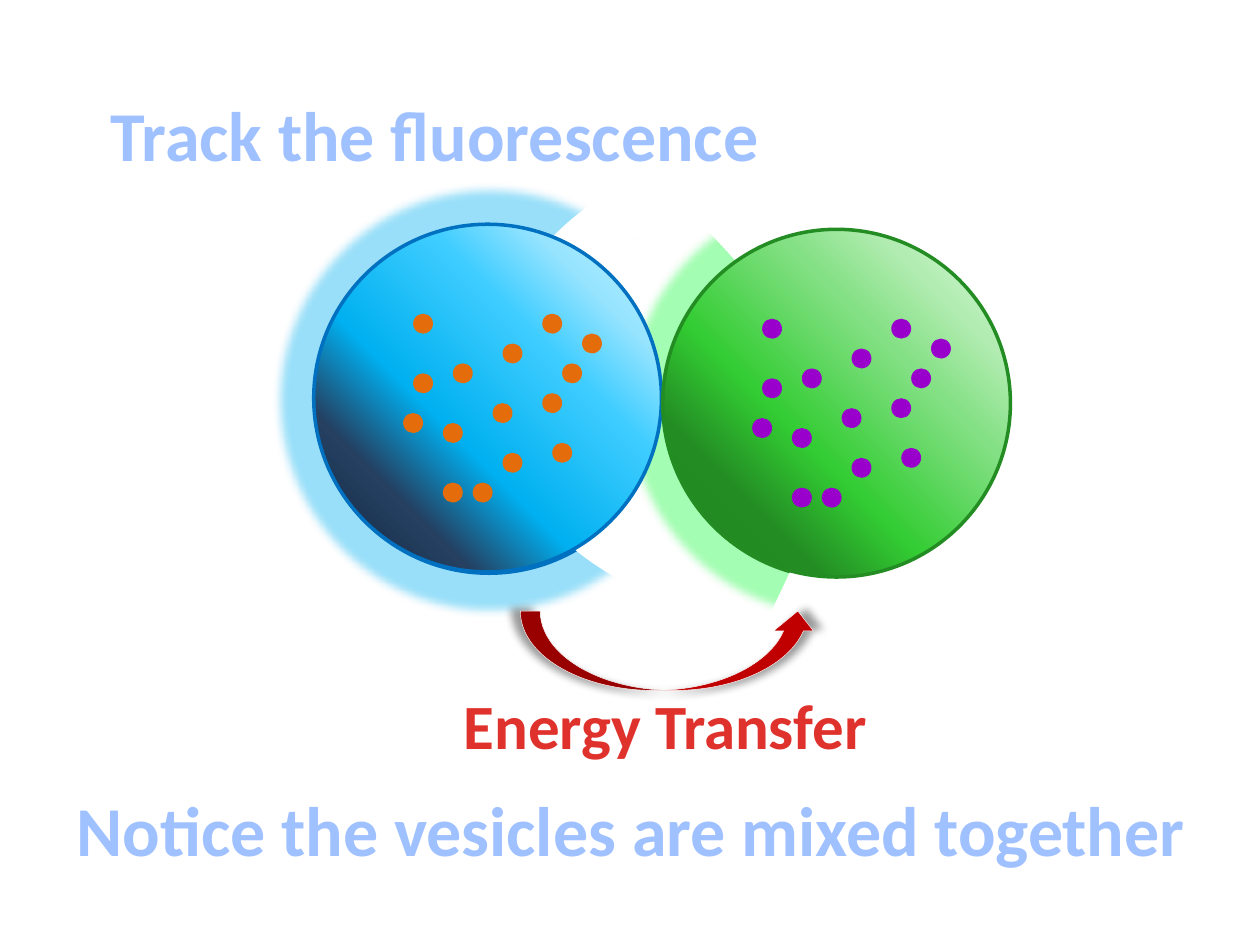
from pptx import Presentation
from pptx.dml.color import RGBColor
from pptx.enum.shapes import MSO_SHAPE
from pptx.enum.text import MSO_ANCHOR, MSO_AUTO_SIZE, PP_ALIGN
from pptx.oxml import parse_xml
from pptx.oxml.ns import nsdecls
from pptx.util import Inches, Pt

OVAL, PIE, ARROW = MSO_SHAPE.OVAL, MSO_SHAPE.PIE, MSO_SHAPE.CURVED_UP_ARROW
LEFT, CENTER = PP_ALIGN.LEFT, PP_ALIGN.CENTER

THEME = {
    "font": "Calibri", "heading": "A0C1FF", "accent": "E0322D",
    "white": "FFFFFF", "arrow": "C00000", "shadow": "000000",
    "large": 40, "medium": 36, "outline": 2, "hairline": 0.25,
}
STOPS = (0, 19, 34, 60, 77, 100)
DIAMETER = 2.76
UNIT = DIAMETER / 35
DOT = 2 * UNIT
DOT_CELLS = [
    (10, 9), (10, 15), (14, 14), (19, 12), (18, 18), (13, 20), (23, 17), (19, 23),
    (23, 9), (25, 14), (16, 26), (24, 22), (9, 19), (27, 11), (13, 26),
]
VESICLES = [
    {"at": (2.49, 1.78), "line": "0070C0", "glow": "00B0F0", "dots": "E46C0A",
     "ramp": ("C9F1FF", "97E4FF", "3FCDFF", "00B0F0", "254061", "0F243E"),
     "mask": (3.9, 1.15, 4.8, 3.78), "angles": (73.101, 133.014), "turn": 0},
    {"at": (5.26, 1.82), "line": "238D23", "glow": "1AFA3F", "dots": "9900CC",
     "ramp": ("E4F8E4", "B2ECB2", "84E084", "33CC33", "238D23", "208220"),
     "mask": (4.98, 1.33, 3.86, 3.78), "angles": (2.773, 151.472), "turn": 222.9},
]
TITLE = ("Track the fluorescence", (0.78, 0.68, 5.4, 0.77), "large", "heading", LEFT)
LABELS = [
    ("Notice the vesicles are mixed together", (0.51, 6.19, 9.1, 0.77), "large", "heading", LEFT),
    ("Energy Transfer", (3.51, 5.4, 3.54, 0.71), "medium", "accent", CENTER),
]
ARROW_BOX = (4.13, 4.85, 2.36, 0.63)


def color(value):
    return RGBColor.from_string(value)


def add_shape(shapes, kind, box, fill=None, line=None, width=THEME["outline"], ramp=None):
    shape = shapes.add_shape(kind, *map(Inches, box))
    shape.shadow.inherit = False
    if ramp:
        stops = "".join(
            f'<a:gs pos="{stop * 1000}"><a:srgbClr val="{value}"/></a:gs>'
            for stop, value in zip(STOPS, ramp))
        shape.fill.background()
        no_fill = shape.fill._xPr.find("{*}noFill")
        shape.fill._xPr.replace(no_fill, parse_xml(
            f'<a:gradFill {nsdecls("a")} rotWithShape="1"><a:gsLst>{stops}</a:gsLst>'
            '<a:path path="circle"><a:fillToRect l="100000" b="100000"/></a:path></a:gradFill>'))
    else:
        shape.fill.solid()
        shape.fill.fore_color.rgb = color(fill)
    if line:
        shape.line.color.rgb = color(line)
        shape.line.width = Pt(width)
    else:
        shape.line.fill.background()
    return shape


def add_shadow(shape, value, scale):
    shape._element.spPr.find("{*}effectLst").append(parse_xml(
        f'<a:outerShdw {nsdecls("a")} blurRad="{Pt(5)}" dist="0" sx="{scale * 1000}" '
        f'sy="{scale * 1000}" algn="ctr" rotWithShape="0"><a:srgbClr val="{value}">'
        '<a:alpha val="40000"/></a:srgbClr></a:outerShdw>'))


def add_ball(shapes, vesicle, shift=0):
    left, top = vesicle["at"]
    return add_shape(shapes, OVAL, (left + shift, top + shift, DIAMETER, DIAMETER),
                     line=vesicle["line"], ramp=vesicle["ramp"])


def write(shape, text, box, size, tone, align):
    for name, value in zip(("left", "top", "width", "height"), box):
        setattr(shape, name, Inches(value))
    frame = shape.text_frame
    frame.text = text
    paragraph = frame.paragraphs[0]
    frame_format = {"word_wrap": False, "auto_size": MSO_AUTO_SIZE.SHAPE_TO_FIT_TEXT,
                    "vertical_anchor": MSO_ANCHOR.TOP}
    font_format = {"name": THEME["font"], "size": Pt(THEME[size]), "bold": True}
    for target, values in ((frame, frame_format), (paragraph.font, font_format)):
        for name, value in values.items():
            setattr(target, name, value)
    paragraph.alignment = align
    paragraph.font.color.rgb = color(THEME[tone])
    return paragraph


presentation = Presentation()
presentation.slide_width, presentation.slide_height = Inches(10), Inches(7.5)
slide = presentation.slides.add_slide(presentation.slide_layouts[5])
write(slide.shapes.title, *TITLE)

for vesicle in VESICLES:
    add_shadow(add_ball(slide.shapes, vesicle, 0.01), vesicle["glow"], 119)
    mask = add_shape(slide.shapes, PIE, vesicle["mask"], THEME["white"], THEME["white"])
    mask.rotation = vesicle["turn"]
    for index, angle in enumerate(vesicle["angles"]):
        mask.adjustments[index] = angle

for vesicle in VESICLES:
    group = slide.shapes.add_group_shape()
    add_ball(group.shapes, vesicle)
    left, top = vesicle["at"]
    for column, row in DOT_CELLS:
        add_shape(group.shapes, OVAL, (left + column * UNIT, top + row * UNIT, DOT, DOT),
                  vesicle["dots"])

arrow = add_shape(slide.shapes, ARROW, ARROW_BOX, THEME["arrow"], THEME["white"], THEME["hairline"])
add_shadow(arrow, THEME["shadow"], 106)

for label in LABELS:
    write(slide.shapes.add_textbox(0, 0, 0, 0), *label)

presentation.save("out.pptx")
